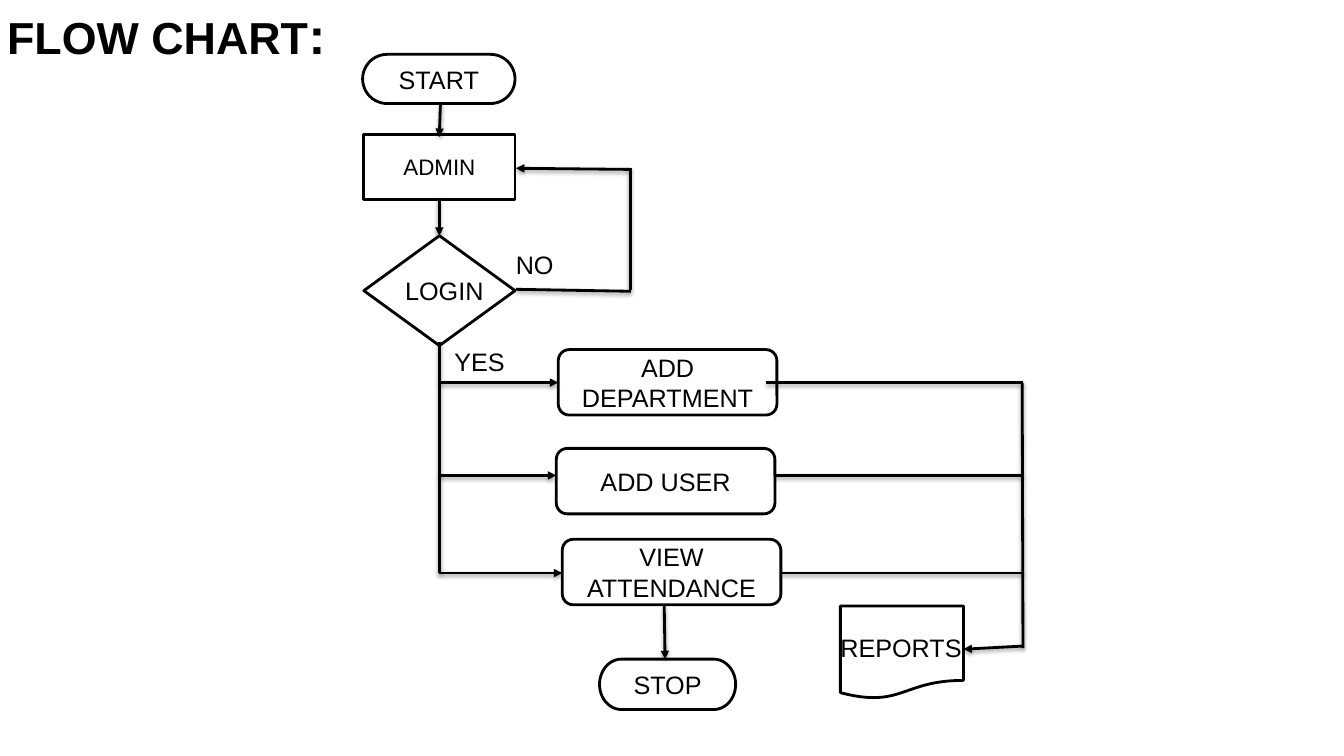
from lxml.etree import SubElement
from pptx import Presentation
from pptx.dml.color import RGBColor
from pptx.enum.shapes import MSO_CONNECTOR, MSO_SHAPE
from pptx.enum.text import MSO_ANCHOR, PP_ALIGN
from pptx.oxml.ns import qn
from pptx.util import Cm, Pt

BLACK, WHITE = "000000", "FFFFFF"
TRUNK_X, REPORT_X = 11.07, 25.78
STEP_W, STEP_H = 5.51, 1.65


def color(hex_code):
    """Turn a hex string into a colour."""
    return RGBColor.from_string(hex_code)


def style(p, size):
    """Set the font of a paragraph."""
    p.font.name = "Arial"
    p.font.size = Pt(size)
    p.font.color.rgb = color(BLACK)


def add_node(s, kind, x, y, w, h, text="", size=18):
    """Add an outlined flow chart symbol with centred text."""
    sp = s.shapes.add_shape(kind, Cm(x), Cm(y), Cm(w), Cm(h))
    sp.shadow.inherit = False
    sp.fill.solid()
    sp.fill.fore_color.rgb = color(WHITE)
    sp.line.color.rgb = color(BLACK)
    sp.line.width = Pt(2)
    if text:
        tf = sp.text_frame
        tf.word_wrap = True
        tf.vertical_anchor = MSO_ANCHOR.MIDDLE
        p = tf.paragraphs[0]
        p.text = text
        p.alignment = PP_ALIGN.CENTER
        style(p, size)


def add_label(s, x, y, w, text):
    """Add a left-aligned caption."""
    tf = s.shapes.add_textbox(Cm(x), Cm(y), Cm(w), Cm(1.02)).text_frame
    tf.word_wrap = True
    p = tf.paragraphs[0]
    p.text = text
    style(p, 18)


def add_line(s, x1, y1, x2, y2, arrow=False):
    """Add a softly shadowed line, with an arrowhead at its end if asked."""
    c = s.shapes.add_connector(MSO_CONNECTOR.STRAIGHT, Cm(x1), Cm(y1), Cm(x2), Cm(y2))
    c.line.color.rgb = color(BLACK)
    c.line.width = Pt(2)
    props = c._element.spPr
    if arrow:
        SubElement(props.find(qn("a:ln")), qn("a:tailEnd"), type="triangle")
    effects = SubElement(props, qn("a:effectLst"))
    shadow = SubElement(effects, qn("a:outerShdw"), blurRad=str(Pt(3.1)),
                        dist=str(Pt(1.6)), dir="5400000", rotWithShape="0")
    tint = SubElement(shadow, qn("a:srgbClr"), val=BLACK)
    SubElement(tint, qn("a:alpha"), val="38000")


def add_title(s):
    """Add the slide heading with its larger colon."""
    tf = s.shapes.add_textbox(Cm(0.18), Cm(-0.28), Cm(8.28), Cm(2.49)).text_frame
    tf.word_wrap = True
    tf.vertical_anchor = MSO_ANCHOR.MIDDLE
    tf.margin_left = tf.margin_right = tf.margin_top = tf.margin_bottom = 0
    p = tf.paragraphs[0]
    p.line_spacing = 0.9
    style(p, 32)
    p.font.bold = True
    for text, size in (("FLOW CHART", 32), (":", 36)):
        r = p.add_run()
        r.text = text
        r.font.size = Pt(size)


def main():
    """Build the flow chart slide."""
    prs = Presentation()
    prs.slide_width, prs.slide_height = Cm(33.87), Cm(19.05)
    s = prs.slides.add_slide(prs.slide_layouts[6])
    add_title(s)

    add_node(s, MSO_SHAPE.FLOWCHART_TERMINATOR, 9.14, 1.37, 3.84, 1.24, "START")
    add_node(s, MSO_SHAPE.RECTANGLE, 9.17, 3.38, 3.81, 1.65, "ADMIN", 16)
    add_node(s, MSO_SHAPE.DIAMOND, 9.17, 5.94, 3.81, 2.77)
    add_node(s, MSO_SHAPE.FLOWCHART_TERMINATOR, 15.11, 16.61, 3.43, 1.27, "STOP")
    add_node(s, MSO_SHAPE.FLOWCHART_DOCUMENT, 21.18, 15.27, 3.1, 2.34)

    steps = [
        ("ADD DEPARTMENT", 14.07, 8.81, 9.64, 19.3),
        ("ADD USER", 14.02, 11.3, 11.98, 19.51),
        ("VIEW ATTENDANCE", 14.17, 13.59, 14.44, 19.69),
    ]
    for text, x, y, line_y, exit_x in steps:
        add_node(s, MSO_SHAPE.ROUNDED_RECTANGLE, x, y, STEP_W, STEP_H, text)
        add_line(s, TRUNK_X, line_y, x, line_y, arrow=True)
        add_line(s, exit_x, line_y, REPORT_X, line_y)

    for x1, y1, x2, y2, arrow in [
        (11.1, 2.62, TRUNK_X, 3.45, True),
        (TRUNK_X, 4.98, TRUNK_X, 5.94, True),
        (15.9, 7.34, 13, 7.29, False),
        (15.88, 4.24, 15.88, 7.32, False),
        (15.9, 4.27, 13, 4.24, True),
        (TRUNK_X, 8.61, TRUNK_X, 14.45, False),
        (16.74, 15.27, 16.76, 16.61, True),
        (25.76, 9.65, REPORT_X, 16.33, False),
        (REPORT_X, 16.28, 24.28, 16.36, True),
    ]:
        add_line(s, x1, y1, x2, y2, arrow)

    add_label(s, 11.2, 8.61, 1.85, "YES")
    add_label(s, 12.75, 6.17, 2.24, "NO")
    add_label(s, 9.96, 6.81, 2.54, "LOGIN")
    add_label(s, 20.93, 15.82, 4.83, "REPORTS")
    prs.save("out.pptx")


main()
